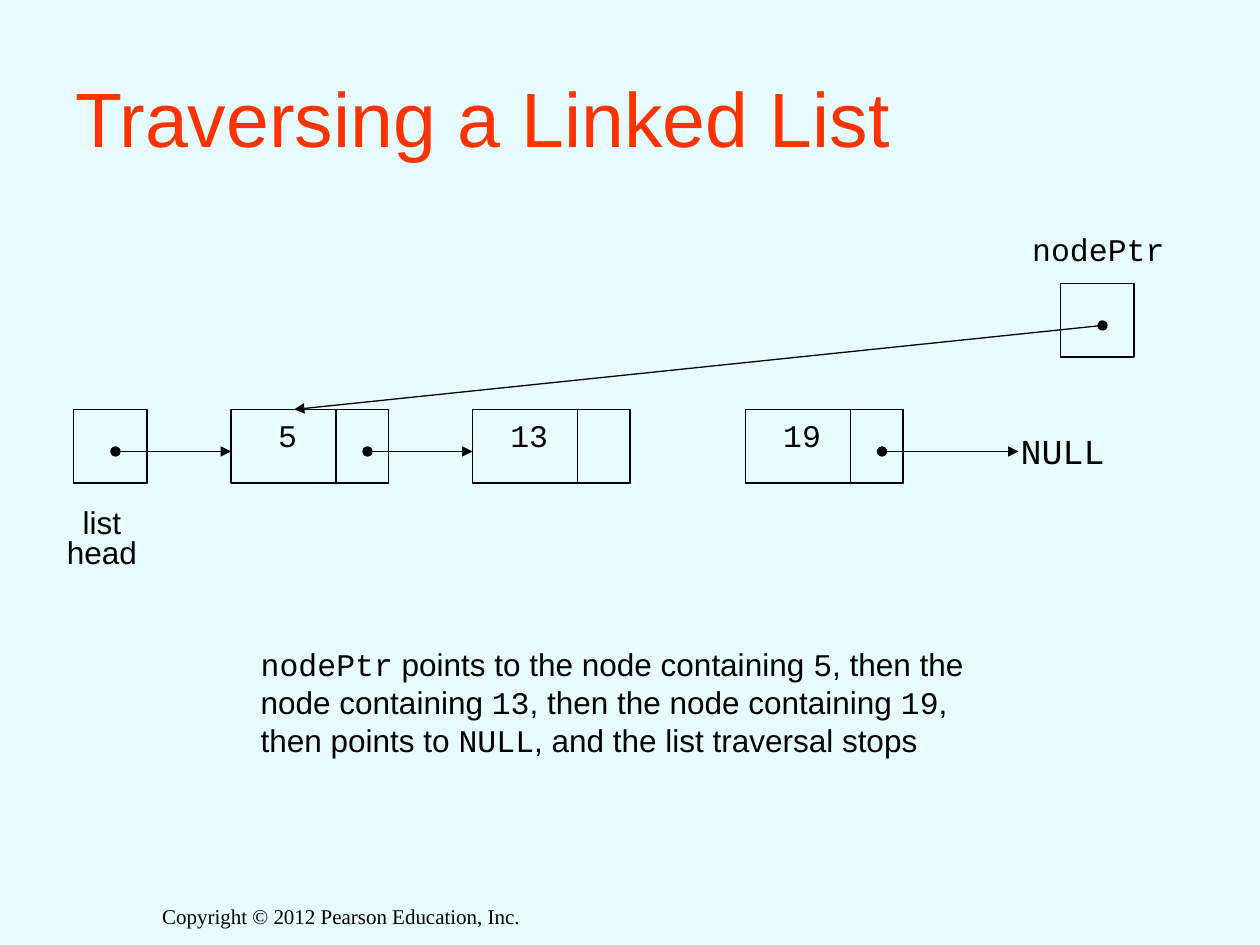
from dataclasses import dataclass

from lxml.etree import SubElement
from pptx import Presentation
from pptx.dml.color import RGBColor
from pptx.enum.shapes import MSO_CONNECTOR, MSO_SHAPE
from pptx.enum.text import MSO_ANCHOR, PP_ALIGN
from pptx.oxml.ns import qn
from pptx.slide import Slide
from pptx.util import Inches, Length, Pt

COLORS = {"background": "E6FCFE", "title": "FF3300", "ink": "000000"}
SANS, MONO, SERIF = "Arial", "Courier New", "Times New Roman"
COLUMNS, ROWS = 120, 90  # twelve grid units to the inch
LIST_ROW, POINTER_ROW = 39, 27
BOX_SIZE, NODE_WIDTH, LINK_WIDTH = 7, 15, 5


@dataclass
class Label:
    """Text on the grid; a line may be a list of (text, font name) runs."""
    column: float
    row: float
    width: float
    height: float
    lines: list
    size: int = 18
    font: str = MONO
    color: str = "ink"
    align: PP_ALIGN = PP_ALIGN.CENTER
    spacing: float = 1.0
    wrap: bool = False
    anchor: MSO_ANCHOR = MSO_ANCHOR.TOP


@dataclass
class Node:
    column: float
    value: str


@dataclass
class Arrow:
    start: tuple[float, float]
    end: tuple[float, float]


NODES = [Node(22, "5"), Node(45, "13"), Node(71, "19")]
POINTER_BOXES = [(7, LIST_ROW), (101, POINTER_ROW)]
ARROWS = [
    Arrow((11, LIST_ROW + 4), (22, LIST_ROW + 4)),
    Arrow((35, LIST_ROW + 4), (45, LIST_ROW + 4)),
    Arrow((84, LIST_ROW + 4), (97, LIST_ROW + 4)),
    Arrow((105, POINTER_ROW + 4), (28, LIST_ROW)),
]
EXPLANATION = [
    [("nodePtr", MONO), (" points to the node containing ", SANS), ("5", MONO), (", then the", SANS)],
    [("node containing ", SANS), ("13", MONO), (", then the node containing ", SANS),
     ("19", MONO), (",", SANS)],
    [("then points to ", SANS), ("NULL", MONO), (", and the list traversal stops", SANS)],
]
LABELS = [
    Label(13, 85.45, 39, 7.3, ["Copyright © 2012 Pearson Education, Inc."], 12, SERIF, wrap=True),
    Label(6, 3.6, 108, 15, ["Traversing a Linked List"], 44, SANS, "title",
          PP_ALIGN.LEFT, wrap=True, anchor=MSO_ANCHOR.MIDDLE),
    Label(96, 39.5, 10.4, 6, ["NULL"], 20, spacing=1.2),
    Label(4.2, 48, 11, 7, ["list", "head"], font=SANS, spacing=0.8),
    Label(97.1, 22, 15, 4, ["nodePtr"], spacing=0.8),
    Label(23.65, 60.85, 69.4, 12, EXPLANATION, align=PP_ALIGN.LEFT),
]


def grid(*units: float) -> list[Length]:
    return [Inches(unit / 12) for unit in units]


def color(name: str) -> RGBColor:
    return RGBColor.from_string(COLORS[name])


def draw_box(slide: Slide, column: float, row: float, width: float) -> None:
    box = slide.shapes.add_shape(MSO_SHAPE.RECTANGLE, *grid(column, row, width, BOX_SIZE))
    box.shadow.inherit = False
    box.fill.background()
    box.line.color.rgb = color("ink")
    box.line.width = Pt(0.75)


def draw_label(slide: Slide, label: Label) -> None:
    box = slide.shapes.add_textbox(*grid(label.column, label.row, label.width, label.height))
    frame = box.text_frame
    frame.word_wrap = label.wrap
    frame.vertical_anchor = label.anchor
    for index, line in enumerate(label.lines):
        paragraph = frame.add_paragraph() if index else frame.paragraphs[0]
        paragraph.alignment = label.align
        paragraph.line_spacing = label.spacing
        paragraph.font.size = Pt(label.size)
        paragraph.font.color.rgb = color(label.color)
        if isinstance(line, str):
            paragraph.font.name = label.font
            paragraph.add_run().text = line
            continue
        for text, font in line:
            run = paragraph.add_run()
            run.text = text
            run.font.name = font


def draw_node(slide: Slide, node: Node) -> None:
    draw_box(slide, node.column, LIST_ROW, NODE_WIDTH)
    draw_box(slide, node.column + NODE_WIDTH - LINK_WIDTH, LIST_ROW, LINK_WIDTH)
    draw_label(slide, Label(node.column + 2.4, LIST_ROW, 6, 4.8, [node.value]))


def draw_arrow(slide: Slide, arrow: Arrow) -> None:
    connector = slide.shapes.add_connector(
        MSO_CONNECTOR.STRAIGHT, *grid(*arrow.start, *arrow.end))
    connector.line.color.rgb = color("ink")
    connector.line.width = Pt(0.75)
    outline = connector.line._get_or_add_ln()
    SubElement(outline, qn("a:headEnd"), type="oval")
    SubElement(outline, qn("a:tailEnd"), type="triangle")
    SubElement(connector._element.spPr, qn("a:effectLst"))


def main() -> None:
    presentation = Presentation()
    presentation.slide_width, presentation.slide_height = grid(COLUMNS, ROWS)
    slide = presentation.slides.add_slide(presentation.slide_layouts[6])
    slide.background.fill.solid()
    slide.background.fill.fore_color.rgb = color("background")
    for column, row in POINTER_BOXES:
        draw_box(slide, column, row, BOX_SIZE)
    for node in NODES:
        draw_node(slide, node)
    for arrow in ARROWS:
        draw_arrow(slide, arrow)
    for label in LABELS:
        draw_label(slide, label)
    presentation.save("out.pptx")


if __name__ == "__main__":
    main()
